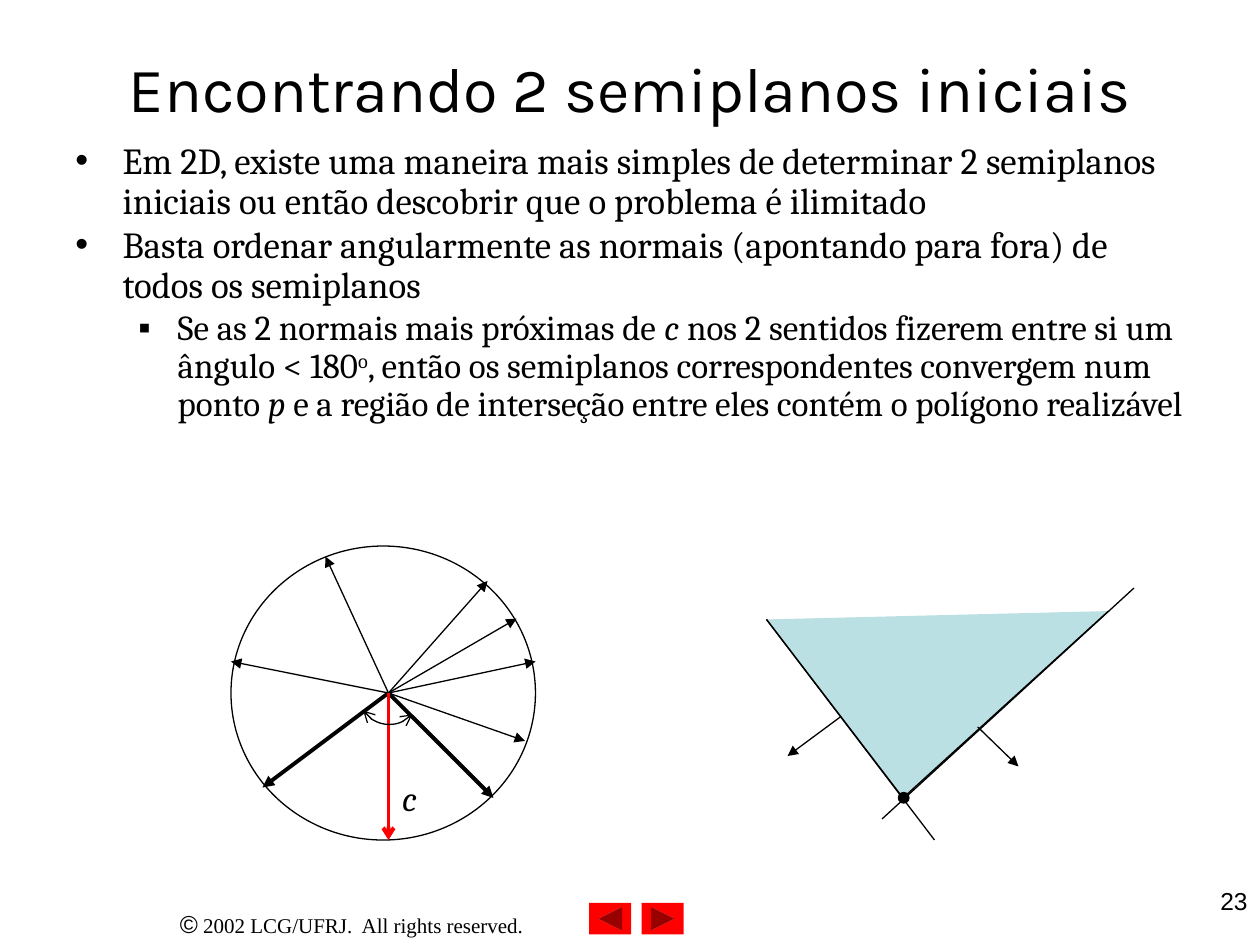
import pptx
import pptx.util
import pptx.dml.color
import pptx.enum.shapes
import pptx.enum.text
import pptx.oxml
import pptx.oxml.ns
from dataclasses import dataclass

Pt = pptx.util.Pt
SHAPE = pptx.enum.shapes.MSO_SHAPE
ALIGN = pptx.enum.text.PP_ALIGN
ANCHOR = pptx.enum.text.MSO_ANCHOR
AUTO = pptx.enum.text.MSO_AUTO_SIZE


@dataclass(frozen=True)
class Theme:
    ink: str = "000000"
    accent: str = "FF0000"
    region: str = "BBE0E3"
    title_font: str = "Karla"
    body_font: str = "Cambria"
    number_font: str = "Arial"
    footer_font: str = "Times New Roman"
    title_size: float = 36
    point_size: float = 21
    detail_size: float = 20
    number_size: float = 14
    footer_size: float = 12
    thin: float = 0.75
    thick: float = 2.25


THEME = Theme()


def rgb(value):
    return pptx.dml.color.RGBColor.from_string(value)


def apply_format(target, values):
    for name, value in values.items():
        setattr(target, name, value)


def add_xml(parent, tag, **attributes):
    child = pptx.oxml.parse_xml(f"<a:{tag} {pptx.oxml.ns.nsdecls('a')}/>")
    for name, value in attributes.items():
        child.set(name, str(value))
    parent.append(child)
    return child


def add_run(paragraph, text, font, size, italic=False):
    run = paragraph.add_run()
    run.text = text
    apply_format(run.font, {"name": font, "size": Pt(size), "italic": italic})
    run.font.color.rgb = rgb(THEME.ink)
    return run


def add_text(slide, box, runs, align, wrap=True):
    frame = slide.shapes.add_textbox(*map(Pt, box)).text_frame
    frame.word_wrap = wrap
    paragraph = frame.paragraphs[0]
    paragraph.alignment = align
    for run in runs:
        add_run(paragraph, *run)


def add_bullet(paragraph, char, margin, hanging, level=0):
    apply_format(paragraph, {"level": level, "line_spacing": 0.9,
                             "space_before": Pt(2.6), "alignment": ALIGN.LEFT})
    properties = paragraph._p.get_or_add_pPr()
    properties.set("marL", str(Pt(margin)))
    properties.set("indent", str(-Pt(hanging)))
    add_xml(add_xml(properties, "buClr"), "srgbClr", val=THEME.ink)
    add_xml(properties, "buFont", typeface=THEME.number_font)
    add_xml(properties, "buChar", char=char)


def style_shape(shape, fill=None, line=THEME.ink):
    shape.shadow.inherit = False
    if fill:
        shape.fill.solid()
        shape.fill.fore_color.rgb = rgb(fill)
    else:
        shape.fill.background()
    if line:
        shape.line.color.rgb = rgb(line)
        shape.line.width = Pt(THEME.thin)
    else:
        shape.line.fill.background()


def add_preset(slide, kind, box, fill=None, line=THEME.ink):
    shape = slide.shapes.add_shape(kind, *map(Pt, box))
    style_shape(shape, fill, line)
    return shape


def add_line(slide, start, end, width=THEME.thin, color=THEME.ink, head=None):
    line = slide.shapes.add_connector(
        pptx.enum.shapes.MSO_CONNECTOR.STRAIGHT, *map(Pt, start + end))
    line.line.color.rgb = rgb(color)
    line.line.width = Pt(width)
    if head:
        add_xml(line.line._get_or_add_ln(), "tailEnd", type=head)
    add_xml(line._element.spPr, "effectLst")


def add_title(slide, text):
    title = slide.shapes.title
    apply_format(title, {"left": Pt(36), "top": Pt(21.6),
                         "width": Pt(648), "height": Pt(56.4)})
    apply_format(title.text_frame, {"auto_size": AUTO.NONE, "word_wrap": True,
                                    "vertical_anchor": ANCHOR.MIDDLE})
    paragraph = title.text_frame.paragraphs[0]
    paragraph.alignment = ALIGN.CENTER
    add_run(paragraph, text, THEME.title_font, THEME.title_size)


def add_body(slide):
    frame = slide.shapes.add_textbox(Pt(36), Pt(78), Pt(648), Pt(252)).text_frame
    frame.word_wrap = True
    points = [
        "Em 2D, existe uma maneira mais simples de determinar 2 semiplanos "
        "iniciais ou então descobrir que o problema é ilimitado",
        "Basta ordenar angularmente as normais (apontando para fora) de "
        "todos os semiplanos",
    ]
    paragraph = frame.paragraphs[0]
    for point in points:
        add_bullet(paragraph, "•", 27, 27)
        add_run(paragraph, point, THEME.body_font, THEME.point_size)
        paragraph = frame.add_paragraph()

    add_bullet(paragraph, "▪", 58.5, 22.5, level=1)
    detail = [
        ("Se as 2 normais mais próximas de ", False),
        ("c", True),
        (" nos 2 sentidos fizerem entre si um ângulo < 180", False),
        ("o", False),
        (", então os semiplanos correspondentes convergem num ponto ", False),
        ("p ", True),
        ("e a região de interseção entre eles contém o polígono realizável", False),
    ]
    for text, italic in detail:
        run = add_run(paragraph, text, THEME.body_font, THEME.detail_size, italic)
        if text == "o":
            run.font._element.set("baseline", "30000")


def add_normals_circle(slide):
    center = (222, 396)
    add_preset(slide, SHAPE.OVAL, (132, 312, 174, 168))
    for tip in [(300, 423.4), (306, 378), (132, 378), (295.2, 353.5),
                (186, 318), (278.6, 332)]:
        add_line(slide, center, tip, head="triangle")
    for nearest_tip in [(282, 456), (150, 450)]:
        add_line(slide, center, nearest_tip, THEME.thick, head="triangle")
    add_line(slide, center, (222, 480), THEME.thick, THEME.accent, "arrow")

    # Angle between the two normals nearest to c
    angle = add_preset(slide, SHAPE.ARC, (204.5, 378, 36, 36))
    for index, degrees in enumerate((43, 146)):
        angle.adjustments[index] = degrees * 0.6
    for end in ("headEnd", "tailEnd"):
        add_xml(angle.line._get_or_add_ln(), end, type="arrow")
    add_text(slide, (222.5, 440, 22.3, 31.7),
             [("c", THEME.body_font, THEME.detail_size, True)], ALIGN.CENTER, False)


def add_half_planes(slide):
    corners = [(438, 354), (516, 456), (633.4, 349.2)]
    builder = slide.shapes.build_freeform(*map(Pt, corners[0]))
    builder.add_line_segments([tuple(map(Pt, c)) for c in corners[1:]], close=False)
    style_shape(builder.convert_to_shape(), THEME.region)

    # Boundary lines, outward normals and the meeting point
    add_line(slide, (504, 468), (648, 336))
    add_line(slide, (534, 480), corners[0])
    add_line(slide, (558.7, 415.4), (582, 438), head="triangle")
    add_line(slide, (480.2, 409.7), (450, 432), head="triangle")
    add_preset(slide, SHAPE.OVAL, (513.4, 452.9, 6, 6), THEME.ink)


def add_footer(slide):
    add_text(slide, (60, 516, 282, 24.5),
             [("©", THEME.number_font, THEME.number_size),
              (" 2002 LCG/UFRJ.  All rights reserved.",
               THEME.footer_font, THEME.footer_size)], ALIGN.CENTER)
    for left, rotation in ((336.7, 180), (366.7, 0)):
        button = add_preset(slide, SHAPE.ACTION_BUTTON_FORWARD_OR_NEXT,
                            (left, 516, 24, 18), THEME.accent, None)
        button.rotation = rotation
    add_text(slide, (648, 502.5, 72, 37.5),
             [("23", THEME.number_font, THEME.number_size)], ALIGN.RIGHT)


def main():
    deck = pptx.Presentation()
    apply_format(deck, {"slide_width": Pt(720), "slide_height": Pt(540)})
    slide = deck.slides.add_slide(deck.slide_layouts[5])
    add_title(slide, "Encontrando 2 semiplanos iniciais")
    add_body(slide)
    add_normals_circle(slide)
    add_half_planes(slide)
    add_footer(slide)
    deck.save("out.pptx")


if __name__ == "__main__":
    main()
